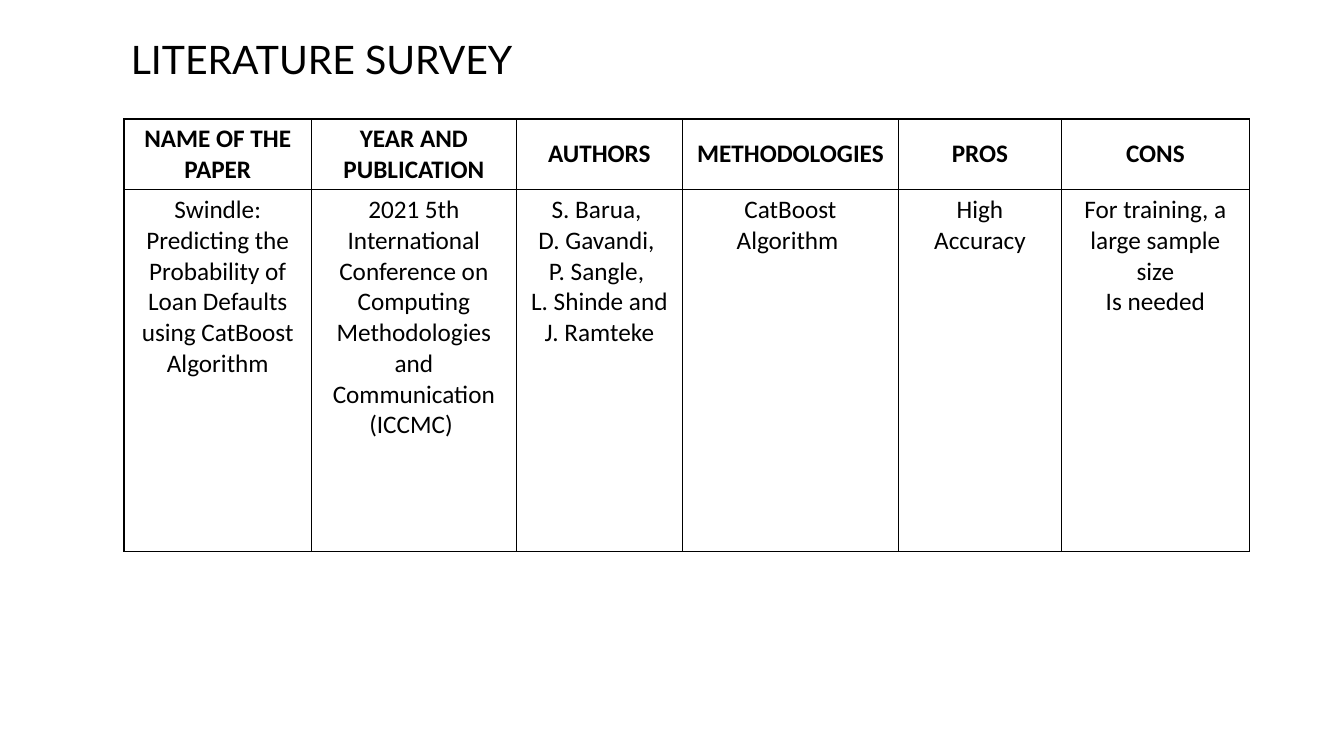
from dataclasses import dataclass

from lxml import etree
from pptx import Presentation
from pptx.dml.color import RGBColor
from pptx.enum.text import MSO_ANCHOR, PP_ALIGN
from pptx.oxml.ns import qn
from pptx.table import _Cell
from pptx.util import Inches, Pt

BLACK = RGBColor(0x00, 0x00, 0x00)
CENTER = PP_ALIGN.CENTER
TOP, MIDDLE = MSO_ANCHOR.TOP, MSO_ANCHOR.MIDDLE
BORDER_SIDES = ("a:lnL", "a:lnR", "a:lnT", "a:lnB")
HEADER_HEIGHT, BODY_HEIGHT = 0.68, 3.59


@dataclass(frozen=True)
class SurveyColumn:
    heading: str
    body: str  # one paragraph per line
    width: float


COLUMNS = [
    SurveyColumn("NAME OF THE PAPER",
                 "Swindle: Predicting the Probability of Loan Defaults "
                 "using CatBoost Algorithm", 1.86),
    SurveyColumn("YEAR AND PUBLICATION",
                 "2021 5th International Conference on Computing "
                 "Methodologies and Communication (ICCMC) ", 2.03),
    SurveyColumn("AUTHORS",
                 "S. Barua, \nD. Gavandi, \nP. Sangle, \n"
                 "L. Shinde and J. Ramteke", 1.65),
    SurveyColumn("METHODOLOGIES", "CatBoost Algorithm ", 2.14),
    SurveyColumn("PROS", "High Accuracy", 1.62),
    SurveyColumn("CONS", "For training, a large sample size\nIs needed", 1.86),
]


def add_borders(cell: _Cell) -> None:
    """Draw a thin black line on every side of the cell."""
    properties = cell._tc.get_or_add_tcPr()
    for position, side in enumerate(BORDER_SIDES):
        line = etree.Element(qn(side), w=str(Pt(1)))
        fill = etree.SubElement(line, qn("a:solidFill"))
        etree.SubElement(fill, qn("a:srgbClr"), val=str(BLACK))
        properties.insert(position, line)


def fill_cell(cell: _Cell, text: str, anchor: MSO_ANCHOR, bold: bool) -> None:
    cell.text = text
    cell.vertical_anchor = anchor
    cell.fill.background()
    for paragraph in cell.text_frame.paragraphs:
        paragraph.alignment = CENTER
        paragraph.font.name = "Calibri"
        paragraph.font.size = Pt(18)
        paragraph.font.bold = bold
        paragraph.font.color.rgb = BLACK
    add_borders(cell)


def main() -> None:
    deck = Presentation()
    deck.slide_width, deck.slide_height = Inches(13.33), Inches(7.5)
    page = deck.slides.add_slide(deck.slide_layouts[6])

    # Title
    box = page.shapes.add_textbox(Inches(1.2), Inches(0.01), Inches(11), Inches(1.21))
    box.text_frame.word_wrap = True
    box.text_frame.vertical_anchor = MIDDLE
    title = box.text_frame.paragraphs[0]
    title.text = "LITERATURE SURVEY"
    title.line_spacing = 0.9
    title.font.name = "Lato"
    title.font.size = Pt(28)
    title.font.color.rgb = BLACK

    # Survey table
    total_width = sum(column.width for column in COLUMNS)
    table = page.shapes.add_table(
        2, len(COLUMNS), Inches(1.23), Inches(1.18),
        Inches(total_width), Inches(HEADER_HEIGHT + BODY_HEIGHT)).table
    table.horz_banding = False
    table.rows[0].height = Inches(HEADER_HEIGHT)
    table.rows[1].height = Inches(BODY_HEIGHT)
    for index, column in enumerate(COLUMNS):
        table.columns[index].width = Inches(column.width)
        fill_cell(table.cell(0, index), column.heading, MIDDLE, True)
        fill_cell(table.cell(1, index), column.body, TOP, False)

    deck.save("out.pptx")


if __name__ == "__main__":
    main()
